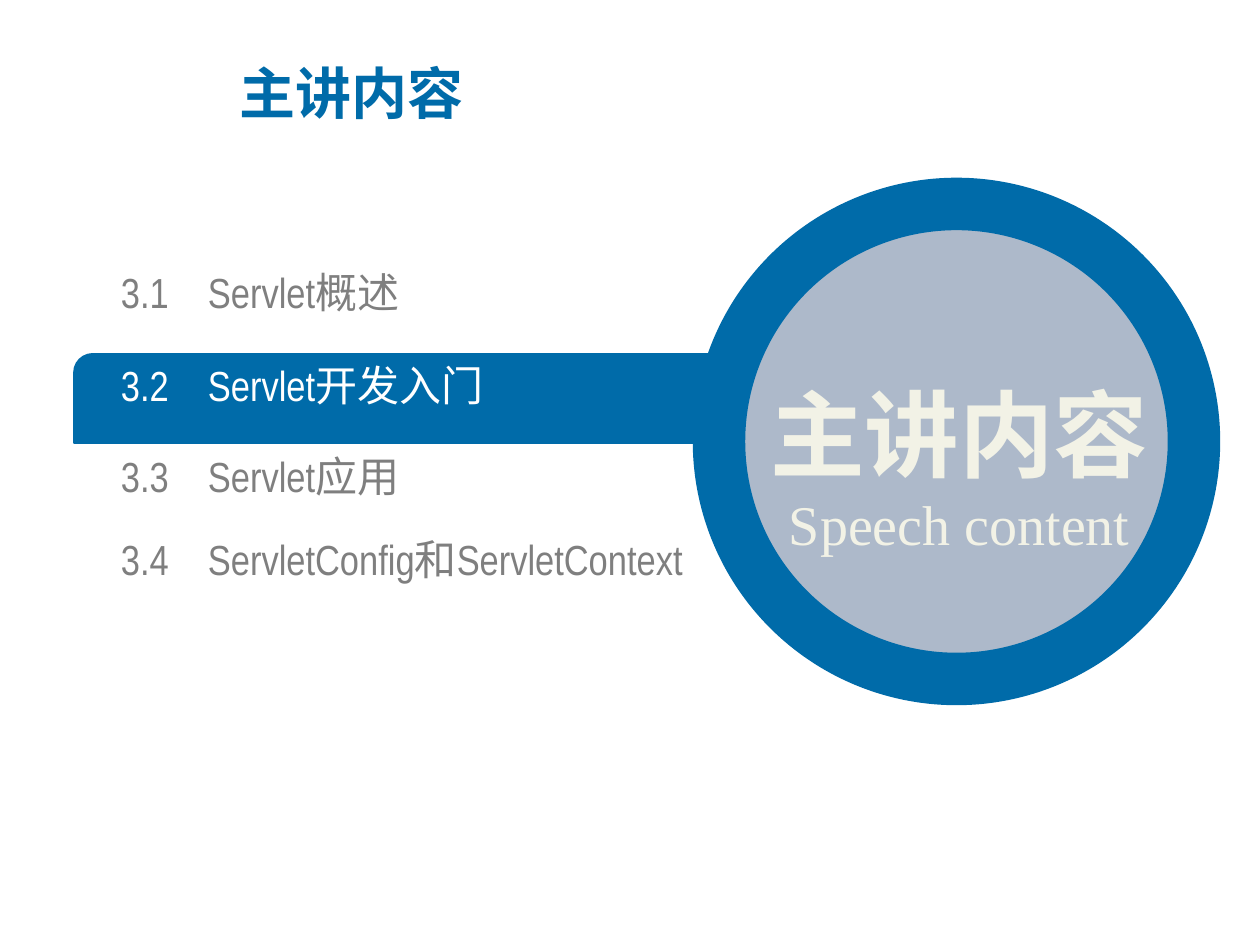
from dataclasses import dataclass

from pptx import Presentation
from pptx.dml.color import RGBColor
from pptx.enum.shapes import MSO_SHAPE
from pptx.enum.text import MSO_ANCHOR, MSO_AUTO_SIZE, PP_ALIGN
from pptx.oxml.ns import qn
from pptx.util import Inches, Pt

BLUE = RGBColor(0x00, 0x6B, 0xA9)
GREY = RGBColor(0x7F, 0x7F, 0x7F)
WHITE = RGBColor(0xFF, 0xFF, 0xFF)
SLATE = RGBColor(0xAD, 0xB9, 0xCA)
CREAM = RGBColor(0xF2, 0xF2, 0xE6)

OVAL = MSO_SHAPE.OVAL
TAB_BAR = MSO_SHAPE.ROUND_2_DIAG_RECTANGLE
MIDDLE = MSO_ANCHOR.MIDDLE
TOP = MSO_ANCHOR.TOP
NO_AUTOFIT = MSO_AUTO_SIZE.NONE
LEFT = PP_ALIGN.LEFT
CENTER = PP_ALIGN.CENTER

HEADING_FONT = "Noto Sans CJK SC"
LIST_FONT = "Arial Narrow"
CAPTION_FONT = "Times New Roman"
PX_PER_INCH = 126


@dataclass(frozen=True)
class Area:
    left: int
    top: int
    width: int
    height: int


@dataclass(frozen=True)
class Style:
    font: str
    size: int
    color: RGBColor
    bold: bool = False


@dataclass(frozen=True)
class Section:
    number: str
    name: str
    space_before: float
    color: RGBColor = GREY


SECTIONS = [
    Section("3.1", "Servlet概述", 0),
    Section("3.2", "Servlet开发入门", 24, WHITE),
    Section("3.3", "Servlet应用", 23.5),
    Section("3.4", "ServletConfig和ServletContext", 18.5),
]


def px(length: int) -> int:
    return Inches(length / PX_PER_INCH)


def place(shape, area: Area) -> None:
    shape.left, shape.top = px(area.left), px(area.top)
    shape.width, shape.height = px(area.width), px(area.height)


def set_up_text(shape, anchor):
    frame = shape.text_frame
    frame.word_wrap = True
    frame.auto_size = NO_AUTOFIT
    frame.vertical_anchor = anchor
    return frame


def add_span(para, text: str, style: Style) -> None:
    span = para.add_run()
    span.text = text
    span.font.name = style.font
    span.font.size = Pt(style.size)
    span.font.bold = style.bold
    span.font.color.rgb = style.color
    if style.font == HEADING_FONT:
        east_asian = span.font._element.makeelement(qn("a:ea"), {"typeface": style.font})
        span.font._element.find(qn("a:latin")).addnext(east_asian)


def add_figure(page, kind, area: Area, fill: RGBColor, line_width: int):
    figure = page.shapes.add_shape(kind, 0, 0, 0, 0)
    place(figure, area)
    figure.shadow.inherit = False
    figure.fill.solid()
    figure.fill.fore_color.rgb = fill
    figure.line.color.rgb = BLUE
    figure.line.width = Pt(line_width)
    return figure


def fill_title(title) -> None:
    place(title, Area(227, 54, 861, 77))
    para = set_up_text(title, MIDDLE).paragraphs[0]
    para.alignment = LEFT
    add_span(para, "主讲内容", Style(HEADING_FONT, 32, BLUE, True))


def fill_sections(body) -> None:
    place(body, Area(121, 267, 737, 360))
    frame = set_up_text(body, TOP)
    frame.margin_left = frame.margin_right = 0
    frame.margin_top = frame.margin_bottom = 0
    for index, section in enumerate(SECTIONS):
        para = frame.paragraphs[0] if index == 0 else frame.add_paragraph()
        para.line_spacing = 1.0
        para.space_before = Pt(section.space_before)
        para.space_after = Pt(0)
        properties = para._p.get_or_add_pPr()
        properties.set("marL", str(px(87)))
        properties.set("indent", str(px(-87)))
        properties.append(properties.makeelement(qn("a:buNone"), {}))
        style = Style(LIST_FONT, 24, section.color)
        add_span(para, f"{section.number}\t{section.name}", style)


def add_caption(page) -> None:
    box = page.shapes.add_textbox(0, 0, 0, 0)
    place(box, Area(714, 312, 491, 252))
    frame = set_up_text(box, MIDDLE)
    heading = frame.paragraphs[0]
    heading.alignment = CENTER
    heading.line_spacing = 1.5
    add_span(heading, "主讲内容", Style(HEADING_FONT, 54, CREAM, True))
    subtitle = frame.add_paragraph()
    subtitle.alignment = CENTER
    add_span(subtitle, "Speech content", Style(CAPTION_FONT, 32, CREAM))


def main() -> None:
    deck = Presentation()
    deck.slide_width, deck.slide_height = px(1260), px(945)
    page = deck.slides.add_slide(deck.slide_layouts[1])
    body = page.placeholders[1]
    fill_title(page.shapes.title)
    fill_sections(body)
    bar = add_figure(page, TAB_BAR, Area(74, 354, 674, 89), BLUE, 1)
    bar.adjustments[0] = 0.21
    bar.adjustments[1] = 0
    body.element.addprevious(bar.element)
    add_figure(page, OVAL, Area(719, 204, 475, 475), SLATE, 30)
    add_caption(page)
    deck.save("out.pptx")


if __name__ == "__main__":
    main()
